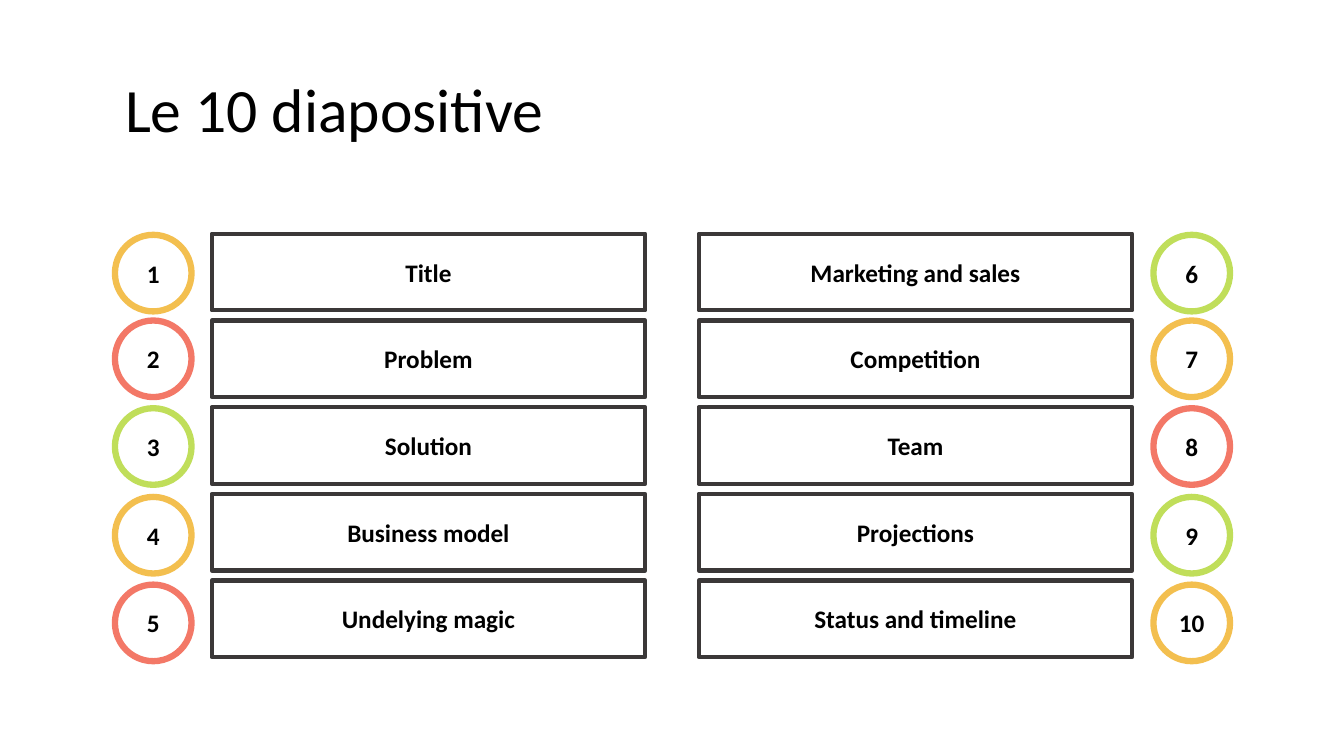
from pptx import Presentation
from pptx.dml.color import RGBColor
from pptx.enum.shapes import MSO_SHAPE as Shape
from pptx.enum.text import MSO_ANCHOR as Anchor, PP_ALIGN as Align
from pptx.util import Inches, Pt

BLACK = RGBColor(0x00, 0x00, 0x00)
GREY = RGBColor(0x3B, 0x38, 0x38)
AMBER = RGBColor(0xF3, 0xBF, 0x4F)
CORAL = RGBColor(0xF3, 0x78, 0x67)
LIME = RGBColor(0xC0, 0xDE, 0x5A)
RINGS = (AMBER, CORAL, LIME)

TOPICS = (
    "Title", "Problem", "Solution", "Business model", "Undelying magic",
    "Marketing and sales", "Competition", "Team", "Projections",
    "Status and timeline",
)
ROWS = 5
SIZE = 0.76                              # height of bars and rings
BAR_X, RING_X = (2.1, 6.93), (1.14, 11.44)
BAR_Y, STEP = 2.32, 0.86
RING_Y = (2.33, 3.18, 4.05, 4.93, 5.8)   # rings drift slightly below the bars

HEAD = {"name": "Calibri", "size": Pt(44), "bold": False}
LABEL = {"name": "Calibri", "size": Pt(18), "bold": True}


def write(frame, text, style, align):
    frame.text = text
    frame.word_wrap = True
    frame.vertical_anchor = Anchor.MIDDLE
    para = frame.paragraphs[0]
    para.alignment = align
    font = para.runs[0].font
    for key, value in style.items():
        setattr(font, key, value)
    font.color.rgb = BLACK
    return para


def add_title(slide, text):
    title = slide.shapes.title
    place = {"left": 1.14, "top": 0.39, "width": 11.05, "height": 1.45}
    for key, value in place.items():
        setattr(title, key, Inches(value))
    write(title.text_frame, text, HEAD, Align.LEFT).line_spacing = 0.9


def add_box(slide, kind, left, top, width, text, color, weight):
    box = slide.shapes.add_shape(
        kind, Inches(left), Inches(top), Inches(width), Inches(SIZE))
    box.shadow.inherit = False
    box.fill.background()
    box.line.color.rgb = color
    box.line.width = Pt(weight)
    write(box.text_frame, text, LABEL, Align.CENTER)


def main():
    deck = Presentation()
    deck.slide_width, deck.slide_height = Inches(13.33), Inches(7.5)
    slide = deck.slides.add_slide(deck.slide_layouts[5])
    add_title(slide, "Le 10 diapositive")

    # Two columns of topic bars, each with a numbered ring outside
    for i, topic in enumerate(TOPICS):
        col, row = divmod(i, ROWS)
        add_box(slide, Shape.RECTANGLE, BAR_X[col], BAR_Y + row * STEP, 4.3,
                topic, GREY, 3)
        add_box(slide, Shape.OVAL, RING_X[col], RING_Y[row], SIZE,
                str(i + 1), RINGS[i % len(RINGS)], 4.5)

    deck.save("out.pptx")


if __name__ == "__main__":
    main()
